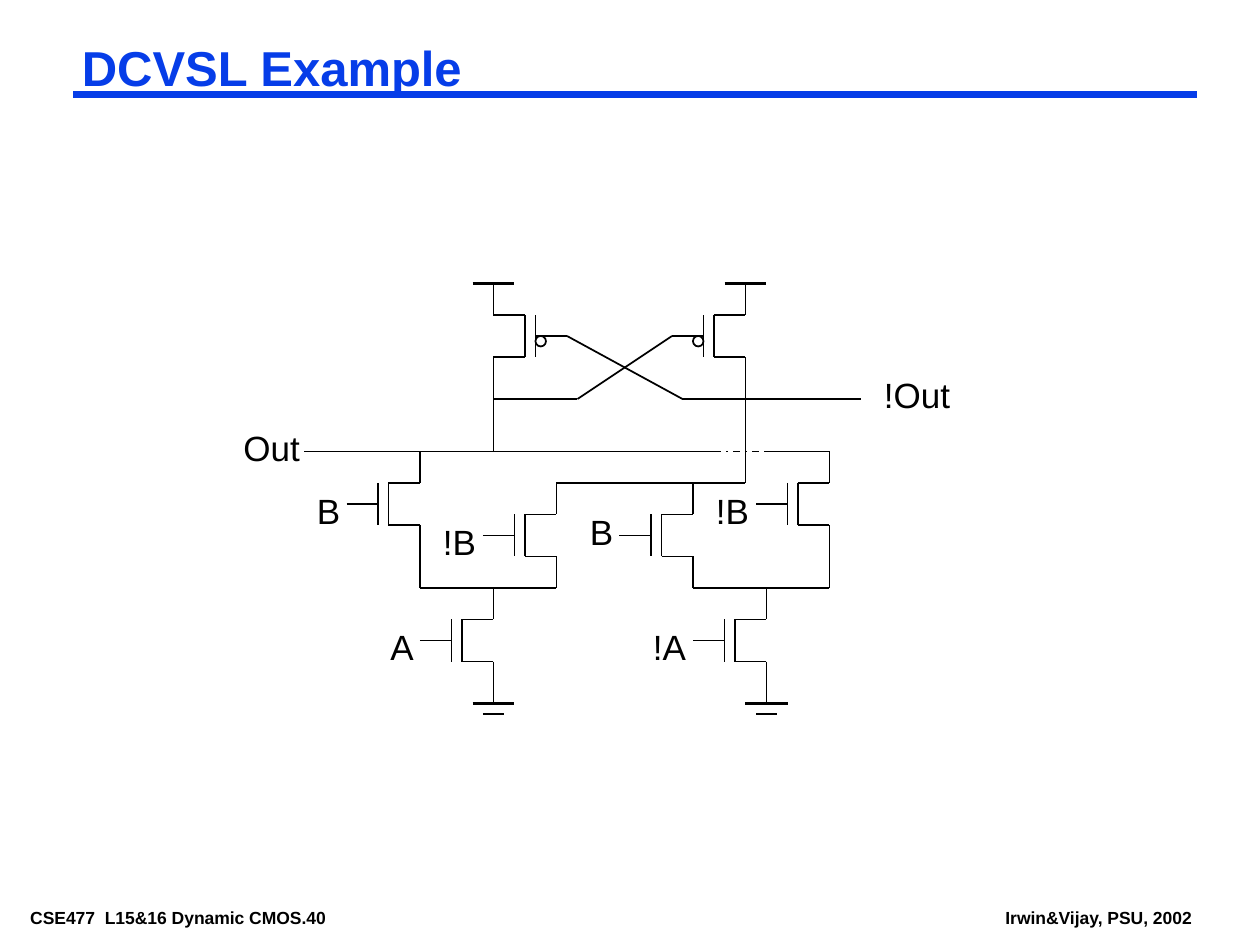
from dataclasses import dataclass

from lxml.etree import SubElement
from pptx import Presentation
from pptx.dml.color import RGBColor
from pptx.enum.dml import MSO_LINE
from pptx.enum.shapes import MSO_CONNECTOR, MSO_SHAPE
from pptx.enum.text import MSO_AUTO_SIZE
from pptx.oxml.ns import qn
from pptx.util import Inches, Pt


@dataclass(frozen=True)
class Theme:
    font: str = "Arial"
    blue: RGBColor = RGBColor(0x06, 0x3D, 0xE8)
    black: RGBColor = RGBColor(0, 0, 0)
    title: float = 28
    label: float = 20
    footer: float = 10
    wire: float = 1
    rail: float = 2.25
    rule: float = 4.5


def grid(n):
    """The circuit lies on a grid of twelve steps to the inch."""
    return Inches(n / 12)


class Circuit:
    def __init__(self, slide, theme):
        self.s = slide
        self.theme = theme

    def text(self, text, left, top, width, height, size, color=None,
             bold=False, wrap=False, inset=(0.07, 0.03)):
        tb = self.s.shapes.add_textbox(left, top, width, height)
        tf = tb.text_frame
        tf.word_wrap = wrap
        tf.auto_size = MSO_AUTO_SIZE.SHAPE_TO_FIT_TEXT
        tf.margin_left = tf.margin_right = Inches(inset[0])
        tf.margin_top = tf.margin_bottom = Inches(inset[1])
        tf.text = text
        p = tf.paragraphs[0]
        font = p.runs[0].font
        font.name, font.size, font.bold = self.theme.font, Pt(size), bold
        font.color.rgb = color or self.theme.black
        return p

    def label(self, text, x, y, width):
        self.text(text, grid(x), grid(y), Inches(width), Inches(0.44),
                  self.theme.label, inset=(0.1, 0.05))

    def line(self, x1, y1, x2, y2, weight, color, parent=None):
        shapes = (parent or self.s).shapes
        c = shapes.add_connector(MSO_CONNECTOR.STRAIGHT, x1, y1, x2, y2)
        c.line.color.rgb = color
        c.line.width = Pt(weight)
        SubElement(c._element.spPr, qn("a:effectLst"))
        return c

    def wire(self, x1, y1, x2, y2, parent=None, weight=None):
        return self.line(grid(x1), grid(y1), grid(x2), grid(y2),
                         weight or self.theme.wire, self.theme.black, parent)

    def rail(self, x, y, parent=None):
        self.wire(x - 2, y, x + 2, y, parent, self.theme.rail)

    def ground(self, x, y):
        g = self.s.shapes.add_group_shape()
        self.rail(x, y, g)
        self.wire(x - 1, y + 1, x + 1, y + 1, g)
        self.wire(x, y - 3, x, y, g)

    def transistor(self, x, y, side=-1, pmos=False):
        """Drain and source at x, channel from y down, gate towards side."""
        g = self.s.shapes.add_group_shape()
        channel, gate = x + 3 * side, x + 4 * side
        self.wire(channel, y, x, y, g)
        self.wire(channel, y, channel, y + 4, g)
        self.wire(channel, y + 4, x, y + 4, g)
        self.wire(gate, y, gate, y + 4, g)
        self.wire(x, y + 4, x, y + 7, g)
        self.wire(gate + 3 * side, y + 2, gate, y + 2, g)
        self.wire(x, y - 3, x, y, g)
        if pmos:
            bubble = g.shapes.add_shape(
                MSO_SHAPE.OVAL, grid(min(gate, gate + side)), grid(y + 2),
                grid(1), grid(1))
            bubble.shadow.inherit = False
            bubble.fill.background()
            bubble.line.color.rgb = self.theme.black
            bubble.line.width = Pt(self.theme.wire)


def main():
    prs = Presentation()
    prs.slide_width, prs.slide_height = Inches(10), Inches(7.5)
    s = prs.slides.add_slide(prs.slide_layouts[6])
    t = Theme()
    c = Circuit(s, t)

    # Footer, rule and title
    c.text("CSE477  L15&16 Dynamic CMOS.40", Inches(0.17), Inches(7.17),
           Inches(3), Inches(0.22), t.footer, bold=True, wrap=True)
    c.text("Irwin&Vijay, PSU, 2002", Inches(7.91), Inches(7.17),
           Inches(1.63), Inches(0.22), t.footer, bold=True)
    c.line(Inches(0.58), Inches(0.75), Inches(9.5), Inches(0.75),
           t.rule, t.blue)
    p = c.text("DCVSL Example", Inches(0.58), Inches(0.33), Inches(8.92),
               Inches(0.46), t.title, t.blue, bold=True, wrap=True)
    p.line_spacing = 0.87

    # Cross-coupled PMOS pair with supply rails
    for x, side in ((47, 1), (71, -1)):
        c.transistor(x, 30, side, pmos=True)
        c.rail(x, 27)

    # NMOS pull-down networks
    for x, y in ((40, 46), (53, 49), (66, 49), (79, 46), (47, 59), (73, 59)):
        c.transistor(x, y)
    for x in (47, 73):
        c.ground(x, 67)

    # Wires between the transistors
    for ends in (
        (47, 36, 47, 43), (71, 37, 71, 46),    # output columns
        (68, 43, 29, 43), (73, 43, 79, 43),    # Out
        (47, 38, 55, 38), (65, 38, 82, 38),    # feedback and !Out
        (54, 32, 65, 38), (64, 32, 55, 38),    # crossing
        (53, 46, 71, 46),                      # !Out to the inner pair
        (40, 56, 53, 56), (66, 56, 79, 56),    # common sources
        (40, 52, 40, 56), (79, 52, 79, 56),
    ):
        c.wire(*ends)
    c.wire(68, 43, 74, 43).line.dash_style = MSO_LINE.DASH_DOT

    # Signal names
    for name, x, y, width in (
        ("Out", 22, 40, 0.65), ("!Out", 83, 35, 0.75),
        ("B", 29, 46, 0.38), ("!B", 41, 49, 0.46),
        ("B", 55, 48, 0.38), ("!B", 67, 46, 0.46),
        ("A", 36, 59, 0.38), ("!A", 61, 59, 0.46),
    ):
        c.label(name, x, y, width)

    prs.save("out.pptx")


if __name__ == "__main__":
    main()
